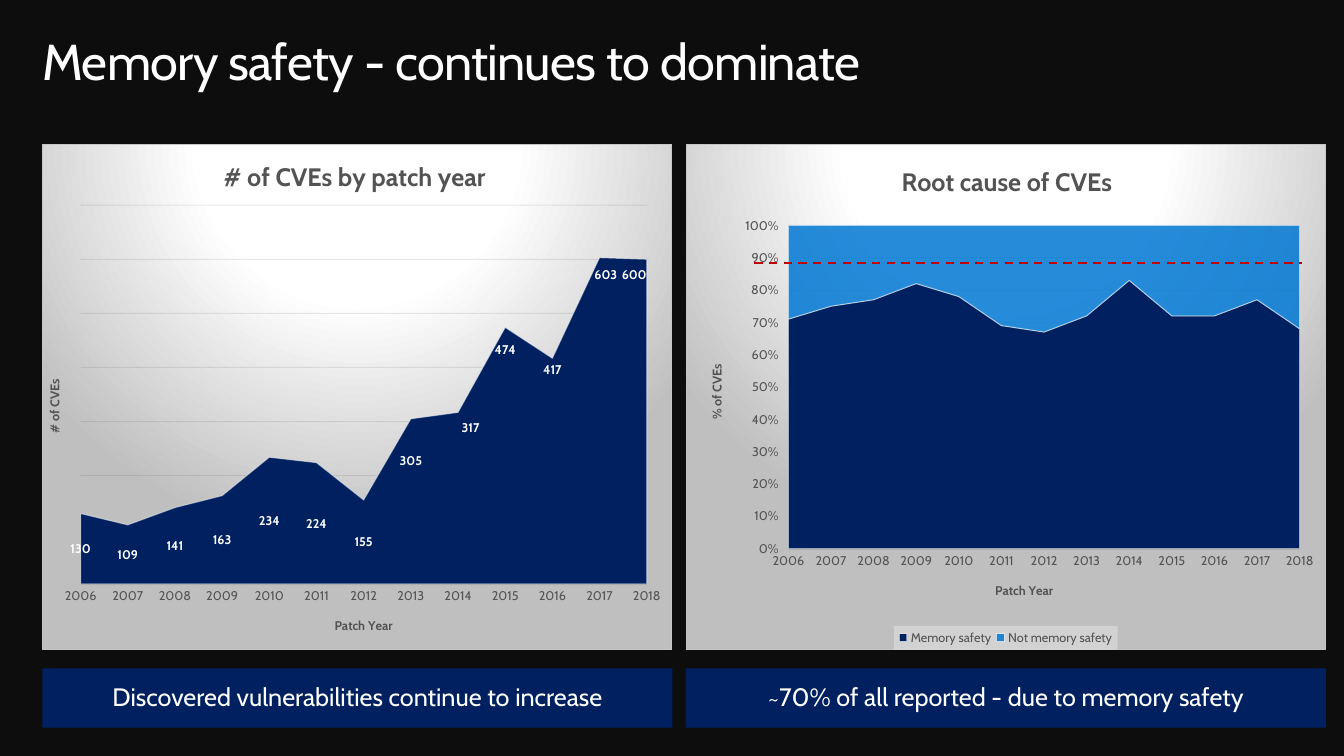
from lxml import etree
from pptx import Presentation
from pptx.chart.data import CategoryChartData
from pptx.dml.color import RGBColor
from pptx.enum.chart import XL_CHART_TYPE, XL_LEGEND_POSITION, XL_TICK_LABEL_POSITION, XL_TICK_MARK
from pptx.enum.dml import MSO_LINE
from pptx.enum.shapes import MSO_CONNECTOR, MSO_SHAPE
from pptx.enum.text import MSO_ANCHOR, PP_ALIGN
from pptx.oxml import parse_xml
from pptx.oxml.ns import nsdecls, qn
from pptx.util import Inches, Pt

AREA, AREA_PERCENT = XL_CHART_TYPE.AREA_STACKED, XL_CHART_TYPE.AREA_STACKED_100
NO_TICK, TICK_OUT, NO_LABELS = XL_TICK_MARK.NONE, XL_TICK_MARK.OUTSIDE, XL_TICK_LABEL_POSITION.NONE
BOTTOM, DASH = XL_LEGEND_POSITION.BOTTOM, MSO_LINE.DASH
RECTANGLE, STRAIGHT = MSO_SHAPE.RECTANGLE, MSO_CONNECTOR.STRAIGHT
LEFT, CENTER, TOP, MIDDLE = PP_ALIGN.LEFT, PP_ALIGN.CENTER, MSO_ANCHOR.TOP, MSO_ANCHOR.MIDDLE

FONT = "Cabin"
BLACK, WHITE = RGBColor(0x0D, 0x0D, 0x0D), RGBColor(0xFF, 0xFF, 0xFF)
NAVY, BLUE = RGBColor(0x00, 0x20, 0x60), RGBColor(0x00, 0x78, 0xD4)
GREY, DARK = RGBColor(0x53, 0x53, 0x53), RGBColor(0x25, 0x25, 0x25)
RED = RGBColor(0xC0, 0x00, 0x00)

# Columns (left, width) and rows (top, height), in inches
FULL_WIDTH, COLUMNS = (0.42, 12.05), [(0.42, 6.25), (6.8, 6.35)]
TITLE_ROW, CHART_ROW, CAPTION_ROW = (0.3, 0.61), (1.43, 5.02), (6.63, 0.59)

YEARS = [str(year) for year in range(2006, 2019)]
CVE_COUNTS = [130, 109, 141, 163, 234, 224, 155, 305, 317, 474, 417, 603, 600]
MEMORY_SHARE = [71, 75, 77, 82, 78, 69, 67, 72, 83, 72, 72, 77, 68]
OTHER_SHARE = [29, 25, 23, 18, 22, 31, 33, 28, 17, 28, 28, 23, 32]
# Label shifts by point, as shares of the chart's size
LABEL_SHIFTS = {7: (0, -0.08), 8: (0.02, -0.14), 9: (0, -0.21),
                10: (0, -0.2), 11: (0.01, -0.29), 12: (-0.02, -0.29)}
EDGES = [("xMode", "edge"), ("yMode", "edge")]

CHART_FILL = f"""<c:spPr {nsdecls('c', 'a')}><a:gradFill><a:gsLst>
<a:gs pos="0"><a:srgbClr val="FFFFFF"/></a:gs><a:gs pos="39000"><a:srgbClr val="FFFFFF"/></a:gs>
<a:gs pos="100000"><a:srgbClr val="BFBFBF"/></a:gs></a:gsLst>
<a:path path="circle"><a:fillToRect l="50000" t="-80000" r="50000" b="180000"/></a:path></a:gradFill>
<a:ln w="9525"><a:solidFill><a:srgbClr val="C6C6C6"/></a:solidFill></a:ln></c:spPr>"""
LEGEND_FILL = f"""<c:spPr {nsdecls('c', 'a')}><a:solidFill><a:srgbClr val="F2F2F2">
<a:alpha val="39000"/></a:srgbClr></a:solidFill></c:spPr>"""
NO_LEADERS = f"""<c:extLst {nsdecls('c')}><c:ext uri="{{CE6537A1-D6FC-4f65-9D91-7224C49458BB}}">
<c15:showLeaderLines xmlns:c15="http://schemas.microsoft.com/office/drawing/2012/chart" val="0"/>
</c:ext></c:extLst>"""


def cell(column, row):
    return [Inches(length) for length in (column[0], row[0], column[1], row[1])]


def set_font(font, size, color, bold=False):
    font.name, font.size, font.bold = FONT, Pt(size), bold
    font.color.rgb = color


def set_line(line, color, width):
    line.color.rgb, line.width = color, Pt(width)


def set_alpha(element, percent):
    for color in element.iter(qn("a:srgbClr")):
        etree.SubElement(color, qn("a:alpha")).set("val", str(percent * 1000))


def set_layout(element, index, position, modes=EDGES):
    """Place a chart part by shares of the chart's size."""
    for old in element.findall(qn("c:layout")):
        element.remove(old)
    layout = etree.Element(qn("c:layout"))
    manual = etree.SubElement(layout, qn("c:manualLayout"))
    for tag, value in [*modes, *zip("xywh", position)]:
        etree.SubElement(manual, qn(f"c:{tag}")).set("val", str(value))
    element.insert(index, layout)


def write_title(title, text, size, position, upright=False):
    title.text_frame.text = text
    set_font(title.text_frame.paragraphs[0].font, size, GREY, True)
    if upright:
        title._element.find(".//" + qn("a:bodyPr")).set("rot", "-5400000")
    set_layout(title._element, 1, position)


def style_axis(axis, text, position, upright=False):
    write_title(axis.axis_title, text, 9, position, upright)
    axis.major_tick_mark = axis.minor_tick_mark = NO_TICK
    set_font(axis.tick_labels.font, 9, GREY)


def add_area_chart(slide, column, kind, areas, title, plot, years_title_at, values_title):
    """areas: name, values, colour, opacity; titles: text, position."""
    data = CategoryChartData()
    data.categories = YEARS
    for name, values, _, _ in areas:
        data.add_series(name, values)
    chart = slide.shapes.add_chart(kind, *cell(column, CHART_ROW), data).chart
    set_font(chart.font, 10, WHITE)
    chart.has_legend = False
    write_title(chart.chart_title, title[0], 18, title[1])

    # Background and plot area
    chart_part = chart._chartSpace.find(qn("c:chart"))
    chart_part.addnext(parse_xml(CHART_FILL))
    set_layout(chart_part.find(qn("c:plotArea")), 0, plot, [("layoutTarget", "inner"), *EDGES])

    # Axes
    years, values = chart.category_axis, chart.value_axis
    style_axis(years, "Patch Year", years_title_at)
    years.has_major_gridlines = False
    set_line(years.format.line, GREY, 1.5)
    set_alpha(years._element.find(qn("c:spPr")), 25)
    style_axis(values, *values_title, upright=True)
    values.format.line.fill.background()
    set_line(values.major_gridlines.format.line, DARK, 0.75)
    set_alpha(values._element.find(qn("c:majorGridlines")), 10)
    values._element.find(qn("c:crossBetween")).set("val", "midCat")

    # Areas
    for series, (_, _, color, opacity) in zip(chart.plots[0].series, areas):
        series.format.fill.solid()
        series.format.fill.fore_color.rgb = color
        set_line(series.format.line, WHITE, 0.75)
        properties = series._element.find(qn("c:spPr"))
        set_alpha(properties.find(qn("a:solidFill")), opacity)
        set_alpha(properties.find(qn("a:ln")), 50)
    return chart


def label_counts(series):
    labels = series.data_labels
    labels.show_value = True
    set_font(labels.font, 9, WHITE, True)
    for index in LABEL_SHIFTS:
        set_font(series.points[index].data_label.font, 9, WHITE, True)
    for label in series._element.iter(qn("c:dLbl")):
        set_layout(label, 1, LABEL_SHIFTS[int(label.find(qn("c:idx")).get("val"))], [])
    for leader in labels._element.findall(qn("c:showLeaderLines")):
        leader.set("val", "0")
    labels._element.append(parse_xml(NO_LEADERS))


def add_legend(chart):
    chart.has_legend = True
    chart.legend.position, chart.legend.include_in_layout = BOTTOM, False
    set_font(chart.legend.font, 9, GREY)
    set_layout(chart.legend._element, 1, (0.325, 0.953, 0.35, 0.047))
    chart.legend._element.find(qn("c:txPr")).addprevious(parse_xml(LEGEND_FILL))


def write_text(shape, text, size, alignment, anchor, margins=(0, 0)):
    frame = shape.text_frame
    frame.margin_left = frame.margin_right = Inches(margins[0])
    frame.margin_top = frame.margin_bottom = Inches(margins[1])
    frame.vertical_anchor, frame.text = anchor, text
    paragraph = frame.paragraphs[0]
    paragraph.alignment = alignment
    set_font(paragraph.font, size, WHITE)
    return paragraph


def add_caption(slide, column, text):
    shape = slide.shapes.add_shape(RECTANGLE, *cell(column, CAPTION_ROW))
    shape.shadow.inherit = False
    shape.fill.solid()
    shape.fill.fore_color.rgb = NAVY
    shape.line.fill.background()
    write_text(shape, text, 18, CENTER, MIDDLE, (0.2, 0.16)).line_spacing = 0.9


def main():
    presentation = Presentation()
    presentation.slide_width, presentation.slide_height = Inches(13.33), Inches(7.5)
    slide = presentation.slides.add_slide(presentation.slide_layouts[5])
    slide.background.fill.solid()
    slide.background.fill.fore_color.rgb = BLACK
    title = slide.shapes.title
    title.left, title.top, title.width, title.height = cell(FULL_WIDTH, TITLE_ROW)
    heading = write_text(title, "Memory safety - continues to dominate", 36, LEFT, TOP)
    heading.runs[0].font._element.set("spc", "-50")
    add_caption(slide, COLUMNS[0], "Discovered vulnerabilities continue to increase")
    add_caption(slide, COLUMNS[1], "~70% of all reported - due to memory safety")

    # Number of CVEs
    counts = add_area_chart(
        slide, COLUMNS[0], AREA, [("Series 1", CVE_COUNTS, NAVY, 100)],
        ("# of CVEs by patch year", (0.28, 0.02)), (0.06, 0.12, 0.9, 0.75),
        (0.46, 0.93), ("# of CVEs", (0, 0.46)))
    axis = counts.value_axis
    axis.minimum_scale, axis.maximum_scale, axis.major_unit = 0, 700, 100
    axis.tick_label_position = NO_LABELS
    label_counts(counts.plots[0].series[0])

    # Root causes and threshold
    shares = [("Memory safety", MEMORY_SHARE, NAVY, 100), ("Not memory safety", OTHER_SHARE, BLUE, 85)]
    causes = add_area_chart(
        slide, COLUMNS[1], AREA_PERCENT, shares, ("Root cause of CVEs", (0.33, 0.03)),
        (0.16, 0.16, 0.8, 0.64), (0.48, 0.86), ("% of CVEs", (0.03, 0.43)))
    causes.value_axis.major_tick_mark = TICK_OUT
    labels = causes.value_axis.tick_labels
    labels.number_format, labels.number_format_is_linked = "0%", False
    add_legend(causes)
    threshold = slide.shapes.add_connector(
        STRAIGHT, Inches(7.48), Inches(2.61), Inches(12.91), Inches(2.61))
    set_line(threshold.line, RED, 1.5)
    threshold.line.dash_style = DASH
    etree.SubElement(threshold._element.spPr, qn("a:effectLst"))
    presentation.save("out.pptx")


if __name__ == "__main__":
    main()
